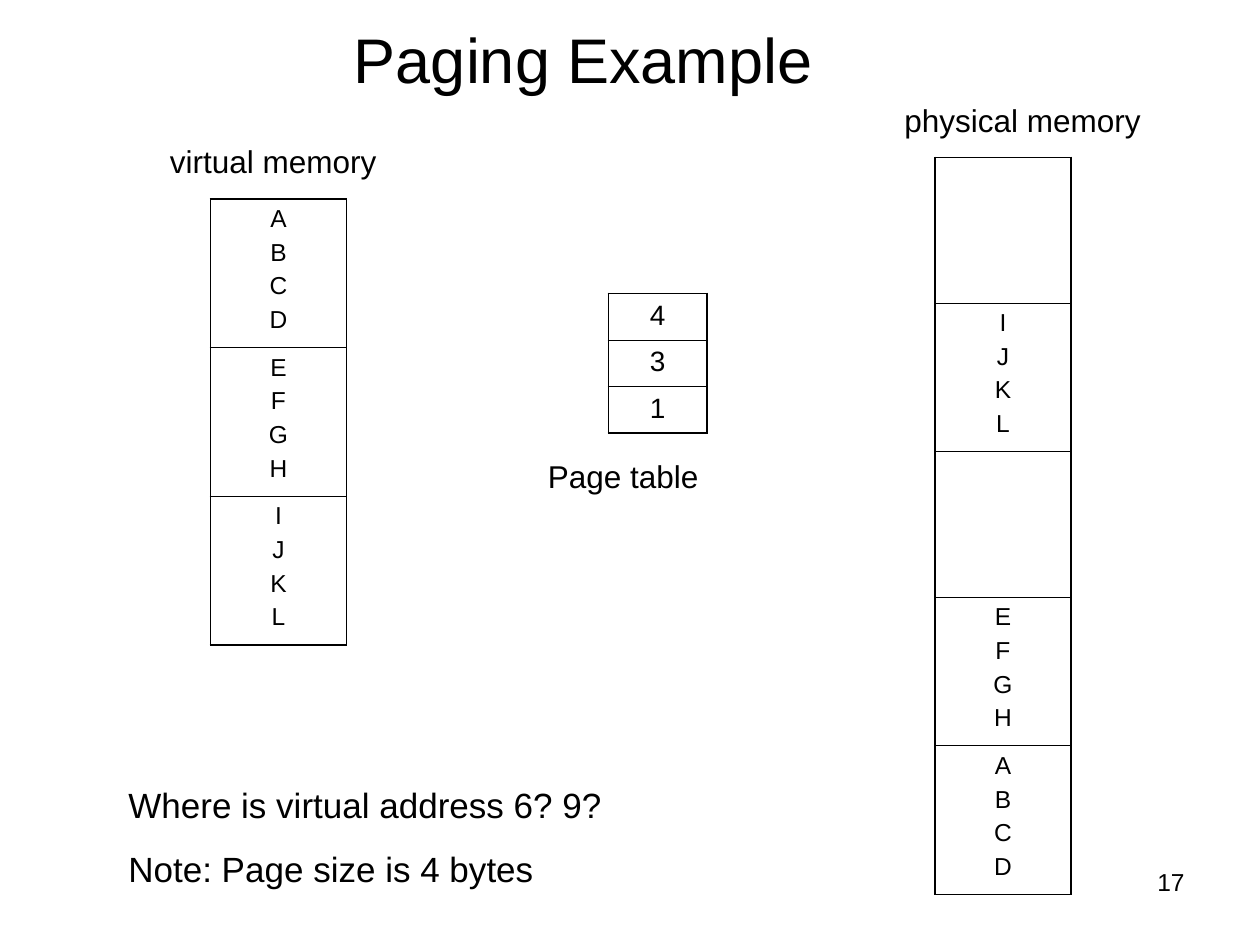
import pptx
import pptx.util
import pptx.dml.color
import pptx.enum.text
import pptx.oxml
import pptx.oxml.ns

Inches, Pt = pptx.util.Inches, pptx.util.Pt
ALIGN = pptx.enum.text.PP_ALIGN
ANCHOR = pptx.enum.text.MSO_ANCHOR

# Content
TITLE = "Paging Example"
NUMBER = "17"
NOTES = ["Where is virtual address 6? 9?", "Note: Page size is 4 bytes"]
LABELS = [
    ("virtual memory", 1.25, 1.08),
    ("physical memory", 7.08, 0.75),
    ("Page table", 4.25, 3.58),
]
PAGES = ["ABCD", "EFGH", "IJKL"]
FRAMES = ["", "IJKL", "", "EFGH", "ABCD"]
ENTRIES = ["4", "3", "1"]

THEME = {
    "font": "Arial", "ink": "000000",
    "title": 36, "note": 20, "label": 18, "entry": 16, "byte": 14, "number": 14,
    "outer": 1.08, "inner": 0.45,
}

# Tables: cells, left, top, column width, row heights, type size, line gap
TABLES = [
    (PAGES, 1.67, 1.58, 1.08, [1.18] * 3, THEME["byte"], 3.5),
    (FRAMES, 7.42, 1.25, 1.08, [1.18 if f else 1.155 for f in FRAMES],
     THEME["byte"], 3.5),
    (ENTRIES, 4.83, 2.33, 0.78, [0.37] * 3, THEME["entry"], 0),
]


def write(frame, lines, size, align=ALIGN.LEFT, gap=0, anchor=ANCHOR.TOP):
    """Fill a text frame, one paragraph per line."""
    frame.word_wrap = True
    frame.vertical_anchor = anchor
    for i, line in enumerate(lines):
        para = frame.paragraphs[0] if i == 0 else frame.add_paragraph()
        para.alignment = align
        para.space_before = Pt(gap if i else 0)
        run = para.add_run()
        run.text = line
        run.font.name = THEME["font"]
        run.font.size = Pt(size)
        run.font.color.rgb = pptx.dml.color.RGBColor.from_string(THEME["ink"])


def box(slide, left, top, width, height, lines, size, **style):
    area = map(Inches, (left, top, width, height))
    write(slide.shapes.add_textbox(*area).text_frame, lines, size, **style)


def edge(cell, side, width):
    line = pptx.oxml.parse_xml(
        f'<a:ln{side} {pptx.oxml.ns.nsdecls("a")} w="{Pt(width)}">'
        f'<a:solidFill><a:srgbClr val="{THEME["ink"]}"/></a:solidFill>'
        f'</a:ln{side}>')
    cell._tc.get_or_add_tcPr().append(line)


def grid(slide, cells, left, top, width, rows, size, gap):
    """Draw a one-column table with a heavy frame and thin inner rules."""
    area = map(Inches, (left, top, width, sum(rows)))
    table = slide.shapes.add_table(len(cells), 1, *area).table
    table.first_row = table.horz_banding = False
    last = len(cells) - 1
    for i, (text, height) in enumerate(zip(cells, rows)):
        table.rows[i].height = Inches(height)
        cell = table.cell(i, 0)
        write(cell.text_frame, text, size, align=ALIGN.CENTER, gap=gap)
        outer, inner = THEME["outer"], THEME["inner"]
        edge(cell, "L", outer)
        edge(cell, "R", outer)
        edge(cell, "T", inner if i else outer)
        edge(cell, "B", inner if i < last else outer)
        cell.fill.background()


def main():
    deck = pptx.Presentation()
    deck.slide_width, deck.slide_height = Inches(10), Inches(7.5)
    slide = deck.slides.add_slide(deck.slide_layouts[5])

    # Title
    title = slide.shapes.title
    title.left, title.top = Inches(-0.52), Inches(0)
    title.width, title.height = Inches(10.3), Inches(0.92)
    write(title.text_frame, [TITLE], THEME["title"],
          align=ALIGN.CENTER, anchor=ANCHOR.MIDDLE)

    # Memory and page tables
    for spec_row in TABLES:
        grid(slide, *spec_row)

    # Labels, questions and slide number
    for text, left, top in LABELS:
        box(slide, left, top, 2.25, 0.4, [text], THEME["label"])
    box(slide, 0.92, 6.17, 5.08, 0.94, NOTES, THEME["note"], gap=12.5)
    box(slide, 7.17, 6.83, 2.33, 0.52, [NUMBER], THEME["number"],
        align=ALIGN.RIGHT)

    deck.save("out.pptx")


if __name__ == "__main__":
    main()
